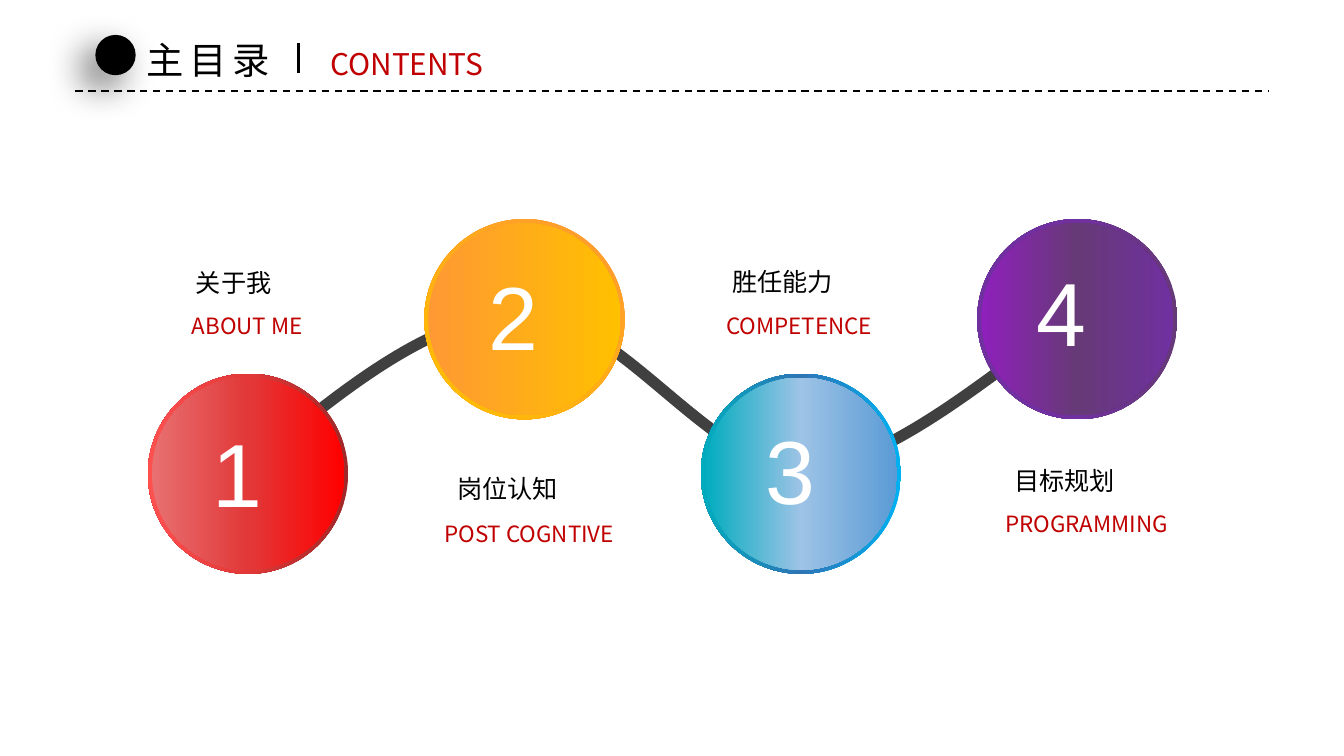
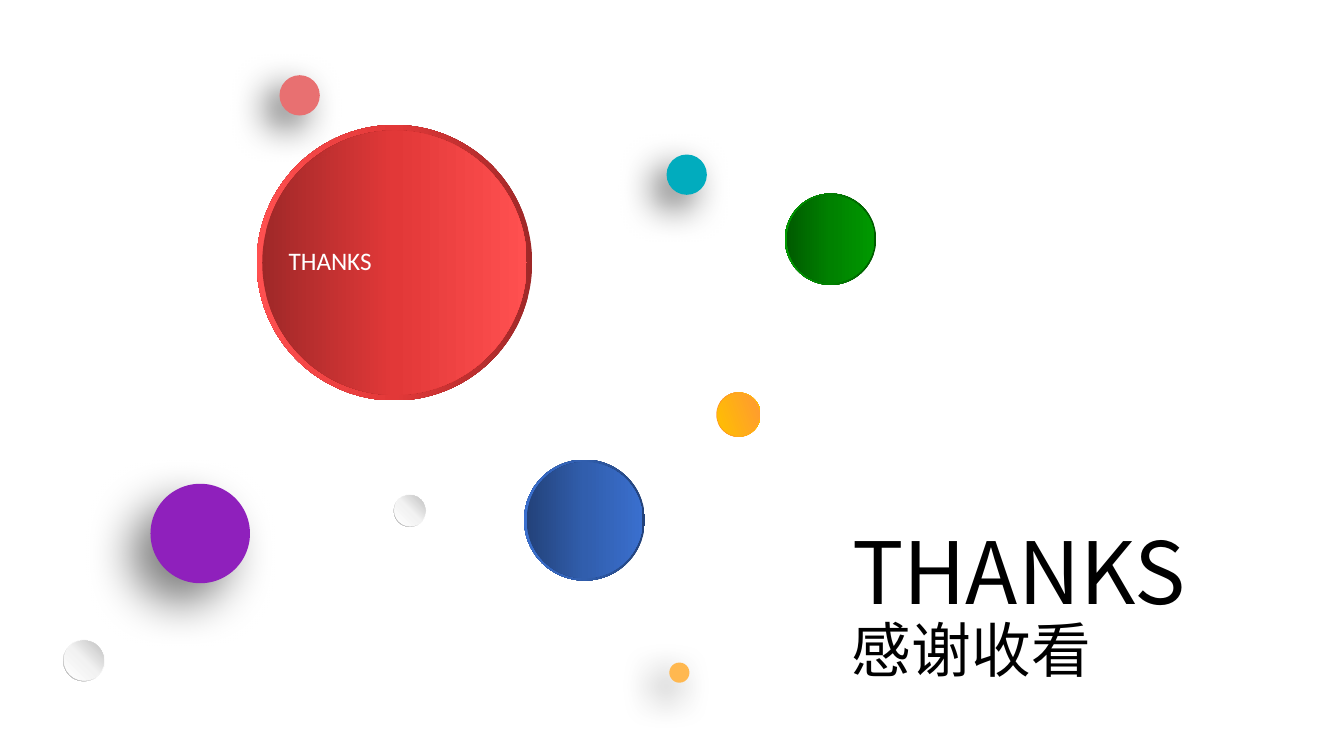
from typing import NamedTuple

from lxml.etree import SubElement
from pptx import Presentation
from pptx.dml.color import RGBColor
from pptx.enum.dml import MSO_LINE
from pptx.enum.shapes import MSO_CONNECTOR, MSO_SHAPE
from pptx.enum.text import MSO_ANCHOR, MSO_AUTO_SIZE, PP_ALIGN
from pptx.oxml.ns import qn
from pptx.util import Inches, Pt

# Grid: 100 columns by 56.25 rows of square cells
CELL = Inches(0.1)
COLUMNS, ROWS = 100, 56.25

BLACK = RGBColor(0x00, 0x00, 0x00)
WHITE = RGBColor(0xFF, 0xFF, 0xFF)
CRIMSON = RGBColor(0xC0, 0x00, 0x00)
CHARCOAL = RGBColor(0x40, 0x40, 0x40)
MAROON = RGBColor(0x9F, 0x28, 0x28)
RED = RGBColor(0xE2, 0x38, 0x38)
CORAL = RGBColor(0xFF, 0x50, 0x50)
ROSE = RGBColor(0xE8, 0x70, 0x71)
PURE_RED = RGBColor(0xFF, 0x00, 0x00)
ORANGE = RGBColor(0xFF, 0x99, 0x33)
AMBER = RGBColor(0xFF, 0xC0, 0x00)
APRICOT = RGBColor(0xFF, 0xB8, 0x50)
TEAL = RGBColor(0x01, 0xAC, 0xBE)
CYAN = RGBColor(0x00, 0xB0, 0xF0)
STEEL = RGBColor(0x2E, 0x75, 0xB6)
PALE_BLUE = RGBColor(0x9D, 0xC3, 0xE6)
SKY = RGBColor(0x5B, 0x9B, 0xD5)
VIOLET = RGBColor(0x8F, 0x20, 0xBC)
PLUM = RGBColor(0x66, 0x3A, 0x77)
PURPLE = RGBColor(0x70, 0x30, 0xA0)
NAVY = RGBColor(0x23, 0x42, 0x7A)
BLUE = RGBColor(0x31, 0x5E, 0xAD)
BRIGHT_BLUE = RGBColor(0x3A, 0x6F, 0xCE)
DARK_GREEN = RGBColor(0x00, 0x5B, 0x00)
GREEN = RGBColor(0x00, 0x81, 0x00)
LIGHT_GREEN = RGBColor(0x00, 0x99, 0x00)
MIST = RGBColor(0xF2, 0xF2, 0xF2)
SILVER = RGBColor(0xBF, 0xBF, 0xBF)
GREY = RGBColor(0xA6, 0xA6, 0xA6)

CHINESE_FONT, ENGLISH_FONT = "Noto Sans CJK SC", "Noto Sans CJK JP"


class Box(NamedTuple):
    left: float
    top: float
    width: float
    height: float

    def within(self, left, top, width, height):
        """A box in cells, measured from this box's corner."""
        return Box(self.left + left, self.top + top, width, height)

    def share(self, left, top, width, height):
        """A box given as shares of this box."""
        return self.within(left * self.width, top * self.height,
                           width * self.width, height * self.height)

    def lengths(self):
        return [round(value * CELL) for value in self]


class Gradient(NamedTuple):
    stops: tuple
    angle: int = 0
    middle: int = 50


class Shadow(NamedTuple):
    opacity: int
    blur: int
    distance: int


SMALL_SHADOW = Shadow(60, 20, 10)
LARGE_SHADOW = Shadow(50, 25, 15)
RED_STOPS = (MAROON, RED, CORAL)
GREEN_STOPS = (DARK_GREEN, GREEN, LIGHT_GREEN)
BLUE_STOPS = (NAVY, BLUE, BRIGHT_BLUE)
ORANGE_STOPS = (ORANGE, AMBER)
PEARL_RING = Gradient((WHITE, MIST, GREY), 135, 55)
PEARL_FACE = Gradient((WHITE, MIST, SILVER), 315, 51)


def add_color(parent, color):
    return SubElement(parent, qn("a:srgbClr"), val=str(color))


def set_gradient(shape, gradient):
    properties = shape.element.spPr
    fill = SubElement(properties, qn("a:gradFill"), rotWithShape="1")
    stop_list = SubElement(fill, qn("a:gsLst"))
    positions = (0, gradient.middle, 100) if len(gradient.stops) == 3 else (0, 100)
    for position, color in zip(positions, gradient.stops):
        add_color(SubElement(stop_list, qn("a:gs"), pos=str(position * 1000)), color)
    SubElement(fill, qn("a:lin"), ang=str(gradient.angle * 60000), scaled="0")


def set_shadow(shape, shadow):
    effects = shape.element.spPr.find(qn("a:effectLst"))
    outer = SubElement(effects, qn("a:outerShdw"), blurRad=str(Pt(shadow.blur)),
                       dist=str(Pt(shadow.distance)), dir=str(135 * 60000),
                       algn="ctr", rotWithShape="0")
    SubElement(add_color(outer, BLACK), qn("a:alpha"), val=str(shadow.opacity * 1000))


def add_round(shapes, kind, box, fill, shadow=None):
    shape = shapes.add_shape(kind, *box.lengths())
    if isinstance(fill, Gradient):
        set_gradient(shape, fill)
    else:
        shape.fill.solid()
        shape.fill.fore_color.rgb = fill
    shape.line.fill.background()
    shape.shadow.inherit = False
    if shadow:
        set_shadow(shape, shadow)
    return shape


def add_ball(slide, box, ring, face):
    """A thin gradient ring with a gradient disc inside it, grouped."""
    shapes = slide.shapes.add_group_shape().shapes
    donut = add_round(shapes, MSO_SHAPE.DONUT, box, ring)
    donut.adjustments[0] = 0.049
    add_round(shapes, MSO_SHAPE.OVAL, box.share(0.02, 0.02, 0.96, 0.96), face)
    return shapes


def add_line(slide, start, end, width, dash=None):
    points = [round(value * CELL) for value in (*start, *end)]
    line = slide.shapes.add_connector(MSO_CONNECTOR.STRAIGHT, *points)
    line.line.color.rgb = BLACK
    line.line.width = Pt(width)
    if dash:
        line.line.dash_style = dash
    SubElement(line.element.spPr, qn("a:effectLst"))


def write(shape, text, size, font, color, wrap=False, align=PP_ALIGN.LEFT, spacing=0):
    frame = shape.text_frame
    frame.word_wrap = wrap
    frame.auto_size = MSO_AUTO_SIZE.SHAPE_TO_FIT_TEXT
    frame.vertical_anchor = MSO_ANCHOR.TOP
    paragraph = frame.paragraphs[0]
    paragraph.alignment = align
    run = paragraph.add_run()
    run.text = text
    run.font.size = Pt(size)
    run.font.color.rgb = color
    run.font.name = font
    properties = next(shape.element.iter(qn("a:rPr")))
    SubElement(properties, qn("a:ea"), typeface=font)
    if spacing:
        properties.set("spc", str(spacing * 100))


def add_text(shapes, box, *content, **options):
    write(shapes.add_textbox(*box.lengths()), *content, **options)


def add_title(slide, box, *content, **options):
    title = slide.shapes.title
    title.left, title.top, title.width, title.height = box.lengths()
    write(title, *content, **options)


# Contents slide

def add_header(slide, box):
    rule_top = box.top + box.height
    add_line(slide, (box.left, rule_top), (box.left + box.width, rule_top),
             1, MSO_LINE.DASH)
    add_round(slide.shapes, MSO_SHAPE.OVAL, box.within(1.5, 0.3, 3, 3), BLACK, SMALL_SHADOW)
    add_title(slide, box.within(4.3, 0, 11.7, 4.4), "主目录", 20, CHINESE_FONT, BLACK, spacing=3)
    add_text(slide.shapes, box.within(18, 0.6, 14.2, 3.7), "CONTENTS", 16, ENGLISH_FONT, CRIMSON)
    divider = box.left + 16.6
    add_line(slide, (divider, box.top + 0.9), (divider, box.top + 3.1), 1.5)


def add_wave(slide, box):
    """A smooth curve: one start point, then three points per Bezier segment."""
    points = [(0, 11.8), (7, 6), (14, 0.1), (20.9, 0), (27.9, 0), (34.7, 11.5),
              (41.6, 11.6), (48.5, 11.6), (58.7, 1.8), (62.2, 0.2)]
    corners = [(round((box.left + x) * CELL), round((box.top + y) * CELL))
               for x, y in points]
    builder = slide.shapes.build_freeform(*corners[0])
    builder.add_line_segments(corners[1:], close=False)
    wave = builder.convert_to_shape()
    wave.fill.background()
    wave.line.color.rgb = CHARCOAL
    wave.line.width = Pt(6)
    wave.shadow.inherit = False
    outline = next(wave.element.iter(qn("a:path")))
    segments = outline.findall(qn("a:lnTo"))
    for first in range(0, len(segments), 3):
        curve = SubElement(outline, qn("a:cubicBezTo"))
        for segment in segments[first:first + 3]:
            curve.append(segment[0])
            outline.remove(segment)


def add_chapter(slide, box, number, number_at, ring, face):
    shapes = add_ball(slide, box, ring, face)
    add_text(shapes, box.within(*number_at, 7.2, 9.1), number, 48, "Arial", WHITE)


def add_label(slide, box, chinese, english, english_at, english_width):
    add_text(slide.shapes, box, chinese, 13.5, CHINESE_FONT, BLACK, wrap=True)
    add_text(slide.shapes, box.within(*english_at, english_width, 3),
             english, 12, ENGLISH_FONT, CRIMSON)


def add_contents_slide(presentation):
    slide = presentation.slides.add_slide(presentation.slide_layouts[5])
    add_header(slide, Box(5.6, 2.3, 88.8, 4.5))
    area = Box(11, 16.3, 76.6, 26.4)
    add_wave(slide, area.within(7.1, 7, 62.2, 11.8))

    # Label offsets are from the column's left edge and the area's top
    labels = [
        ((2.6, 3.1), "关于我", "ABOUT ME", (-0.3, 3.3), 10.9),
        ((1.5, 18.4), "岗位认知", "POST COGNTIVE", (-1, 3.5), 15.9),
        ((1.4, 3), "胜任能力", "COMPETENCE", (-0.5, 3.4), 13.4),
        ((1.8, 17.8), "目标规划", "PROGRAMMING", (-0.7, 3.4), 14.9),
    ]
    chapters = [
        ((3.8, 2.8), Gradient(RED_STOPS, 180), Gradient((ROSE, RED, PURE_RED))),
        ((3.8, 2.6), Gradient(ORANGE_STOPS, 130), Gradient(ORANGE_STOPS)),
        ((3.8, 2.6), Gradient((CYAN, STEEL, TEAL), 180), Gradient((TEAL, PALE_BLUE, SKY))),
        ((3.4, 2.3), Gradient((PLUM, PURPLE, PURPLE), 180), Gradient((VIOLET, PLUM, PURPLE))),
    ]
    for index, (label, chapter) in enumerate(zip(labels, chapters)):
        column = 20.57 * index
        row = 0 if index % 2 else 11.5
        (x, y), *wording = label
        add_label(slide, area.within(column + x, y, 15.5, 4), *wording)
        add_chapter(slide, area.within(column, row, 14.9, 14.9), str(index + 1), *chapter)


# Closing slide

def add_bubbles(slide, area):
    balls = [
        (19.1, 9.3, 20.5, Gradient(RED_STOPS, 180), Gradient(RED_STOPS)),
        (53.3, 29.2, 3.3, Gradient(ORANGE_STOPS), Gradient(ORANGE_STOPS, 160)),
        (58.4, 14.4, 6.8, Gradient(GREEN_STOPS, 180), Gradient(GREEN_STOPS)),
        (29.3, 36.8, 2.4, PEARL_RING, PEARL_FACE),
        (4.7, 47.6, 3.1, PEARL_RING, PEARL_FACE),
        (39, 34.2, 9, Gradient(BLUE_STOPS, 180), Gradient(BLUE_STOPS)),
    ]
    dots = [
        (11.2, 36, 7.4, VIOLET, LARGE_SHADOW),
        (20.8, 5.6, 3, ROSE, SMALL_SHADOW),
        (49.6, 11.5, 3, TEAL, SMALL_SHADOW),
        (49.8, 49.3, 1.5, APRICOT, SMALL_SHADOW),
    ]
    for left, top, size, ring, face in balls:
        add_ball(slide, area.within(left, top, size, size), ring, face)
    for left, top, size, color, shadow in dots:
        add_round(slide.shapes, MSO_SHAPE.OVAL, area.within(left, top, size, size), color, shadow)
    add_text(slide.shapes, area.within(20.5, 17.8, 18.2, 4), "THANKS", 13.5, "Calibri", WHITE)


def add_farewell(slide, box):
    add_title(slide, box.within(0, 0, 33, 8.8), "THANKS", 46, CHINESE_FONT, BLACK)
    add_text(slide.shapes, box.within(0, 7, 32.6, 6.4), "感谢收看", 32, CHINESE_FONT, BLACK,
             wrap=True, align=PP_ALIGN.JUSTIFY)


def add_closing_slide(presentation):
    slide = presentation.slides.add_slide(presentation.slide_layouts[5])
    add_bubbles(slide, Box(0, 0, COLUMNS, ROWS))
    add_farewell(slide, Box(62.4, 38.1, 33, 13.4))


def main():
    presentation = Presentation()
    presentation.slide_width = COLUMNS * CELL
    presentation.slide_height = round(ROWS * CELL)
    add_contents_slide(presentation)
    add_closing_slide(presentation)
    presentation.save("out.pptx")


if __name__ == "__main__":
    main()
